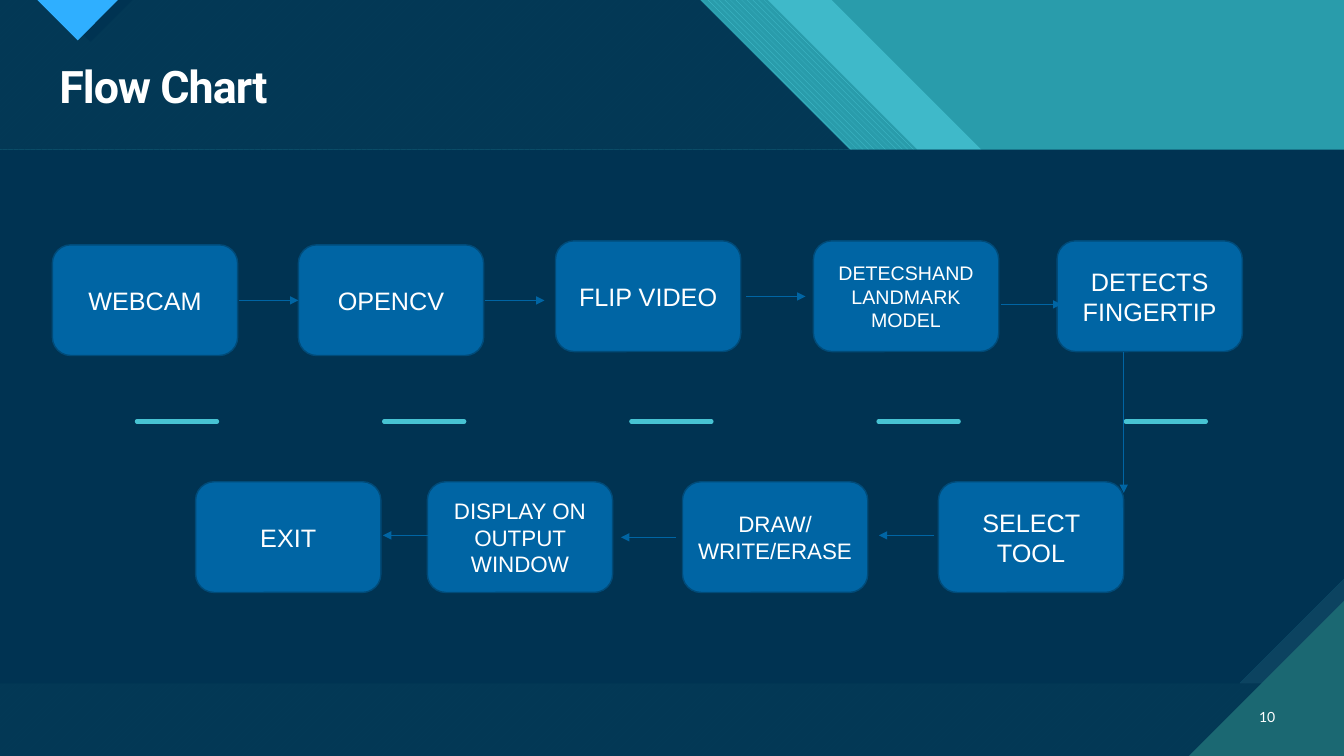
from lxml import etree
from pptx import Presentation
from pptx.dml.color import RGBColor
from pptx.enum.dml import MSO_PATTERN
from pptx.enum.shapes import MSO_CONNECTOR, MSO_SHAPE
from pptx.enum.text import MSO_ANCHOR, PP_ALIGN
from pptx.oxml.ns import qn
from pptx.util import Cm, Pt

STRAIGHT = MSO_CONNECTOR.STRAIGHT
ROUNDED = MSO_SHAPE.ROUNDED_RECTANGLE
MIDDLE = MSO_ANCHOR.MIDDLE
LEFT, CENTER, RIGHT = PP_ALIGN.LEFT, PP_ALIGN.CENTER, PP_ALIGN.RIGHT
UP_HATCH = MSO_PATTERN.WIDE_UPWARD_DIAGONAL
DOWN_HATCH = MSO_PATTERN.WIDE_DOWNWARD_DIAGONAL

WHITE = RGBColor(0xFF, 0xFF, 0xFF)
NAVY = RGBColor(0x00, 0x33, 0x52)
NAVY_HATCH = RGBColor(0x03, 0x38, 0x55)
NAVY_STRIPE = RGBColor(0x05, 0x3B, 0x59)
SLATE = RGBColor(0x0C, 0x43, 0x60)
TEAL = RGBColor(0x29, 0x9C, 0xAB)
BAND = RGBColor(0x3F, 0xB9, 0xC9)
AQUA = RGBColor(0x47, 0xC3, 0xD3)
DARK_TEAL = RGBColor(0x1B, 0x68, 0x72)
SKY = RGBColor(0x2F, 0xAF, 0xFF)
BLUE = RGBColor(0x00, 0x65, 0xA4)
EDGE = RGBColor(0x00, 0x4B, 0x79)

WIDTH, HEIGHT = 33.87, 19.05
HEADER, FOOTER = 3.77, 17.22
SNIP = 2.63
CORNER = 3.91
BOX_WIDTH, BOX_HEIGHT = 4.67, 2.79

STEPS = [
    ("WEBCAM", 1.32, 6.17, 18),
    ("OPENCV", 7.52, 6.17, 18),
    ("FLIP VIDEO", 14, 6.07, 18),
    ("DETECSHAND LANDMARK MODEL", 20.5, 6.07, 14),
    ("DETECTS FINGERTIP", 26.64, 6.07, 18),
    ("SELECT TOOL", 23.65, 12.14, 18),
    ("DRAW/WRITE/ERASE", 17.2, 12.14, 16),
    ("DISPLAY ON OUTPUT WINDOW", 10.77, 12.14, 16),
    ("EXIT", 4.93, 12.14, 18),
]
ARROWS = [
    (6.02, 7.57, 7.52, 7.57),
    (12.22, 7.57, 13.72, 7.57),
    (18.8, 7.47, 20.3, 7.47),
    (25.22, 7.67, 26.75, 7.67),
    (28.32, 8.86, 28.32, 12.42),
    (23.55, 13.49, 22.15, 13.49),
    (17.04, 13.54, 15.65, 13.54),
    (11.05, 13.49, 9.65, 13.49),
]


def add_polygon(slide, points, color, pattern=None, stripe=None):
    corners = [(Cm(x), Cm(y)) for x, y in points]
    builder = slide.shapes.build_freeform(*corners[0])
    builder.add_line_segments(corners[1:])
    shape = builder.convert_to_shape()
    shape.shadow.inherit = False
    shape.line.fill.background()
    if pattern is None:
        shape.fill.solid()
        shape.fill.fore_color.rgb = color
    else:
        shape.fill.patterned()
        shape.fill.pattern = pattern
        shape.fill.fore_color.rgb = stripe
        shape.fill.back_color.rgb = color


def add_line(slide, ends, color, width):
    connector = slide.shapes.add_connector(STRAIGHT, *map(Cm, ends))
    connector.line.color.rgb = color
    connector.line.width = Pt(width)
    etree.SubElement(connector._element.spPr, qn("a:effectLst"))
    return connector.line._get_or_add_ln()


def add_arrow(slide, ends):
    line = add_line(slide, ends, BLUE, 0.5)
    etree.SubElement(line, qn("a:tailEnd"), type="triangle")


def write_text(shape, text, font, size, alignment):
    frame = shape.text_frame
    frame.word_wrap = True
    frame.vertical_anchor = MIDDLE
    paragraph = frame.paragraphs[0]
    paragraph.text = text
    paragraph.alignment = alignment
    paragraph.font.name = font
    paragraph.font.size = Pt(size)
    paragraph.font.color.rgb = WHITE
    return paragraph


def add_step(slide, text, left, top, size):
    shape = slide.shapes.add_shape(
        ROUNDED, Cm(left), Cm(top), Cm(BOX_WIDTH), Cm(BOX_HEIGHT))
    shape.shadow.inherit = False
    shape.fill.solid()
    shape.fill.fore_color.rgb = BLUE
    shape.line.color.rgb = EDGE
    shape.line.width = Pt(1)
    write_text(shape, text, "Arial", size, CENTER)


def add_slant(slide, left, right, *fill):
    add_polygon(slide, [(left, 0), (right, 0), (right + HEADER, HEADER),
                        (left + HEADER, HEADER)], *fill)


def add_backdrop(slide):
    slide.background.fill.solid()
    slide.background.fill.fore_color.rgb = TEAL
    hatch = (NAVY_HATCH, UP_HATCH, NAVY_STRIPE)
    add_polygon(slide, [(0, 0), (17.65, 0), (17.65 + HEADER, HEADER), (0, HEADER)], *hatch)
    add_slant(slide, 17.65, 19.35, TEAL, DOWN_HATCH, AQUA)
    add_slant(slide, 19.35, 20.96, BAND)
    add_polygon(slide, [(0, FOOTER), (WIDTH, FOOTER), (WIDTH, HEIGHT), (0, HEIGHT)], *hatch)
    add_polygon(slide, [(WIDTH - SNIP, FOOTER), (WIDTH, FOOTER - SNIP), (WIDTH, FOOTER)], SLATE)
    add_polygon(slide, [(0, HEADER), (WIDTH, HEADER), (WIDTH, FOOTER - SNIP),
                        (WIDTH - SNIP, FOOTER), (0, FOOTER)], NAVY)
    add_polygon(slide, [(WIDTH - CORNER, HEIGHT), (WIDTH, HEIGHT - CORNER),
                        (WIDTH, HEIGHT)], DARK_TEAL)
    add_polygon(slide, [(1.22, 0), (3.33, 0), (2.28, 1.05)], NAVY)
    add_polygon(slide, [(0.94, 0), (2.97, 0), (1.96, 1.02)], SKY)
    for index in range(5):
        left = 3.45 + 6.23 * index
        add_line(slide, (left, 10.62, left + 2.02, 10.62), AQUA, 3).set("cap", "rnd")


def add_title(slide, text):
    title = slide.shapes.title
    title.left, title.top, title.width, title.height = map(Cm, (1.24, 1.5, 31.14, 1.5))
    paragraph = write_text(title, text, "Roboto", 32, LEFT)
    paragraph.font.bold = True
    paragraph.line_spacing = 0.9
    paragraph.runs[0].font._element.set("spc", "-70")
    slide.shapes._spTree.append(title._element)


def add_page_number(slide, number):
    box = slide.shapes.add_textbox(Cm(31.27), Cm(17.55), Cm(1.12), Cm(1.02))
    write_text(box, number, "Lato", 10, RIGHT)


def main():
    presentation = Presentation()
    presentation.slide_width = Cm(WIDTH)
    presentation.slide_height = Cm(HEIGHT)
    slide = presentation.slides.add_slide(presentation.slide_layouts[5])
    add_backdrop(slide)
    add_title(slide, "Flow Chart")
    add_page_number(slide, "10")
    for step in STEPS:
        add_step(slide, *step)
    for ends in ARROWS:
        add_arrow(slide, ends)
    presentation.save("out.pptx")


if __name__ == "__main__":
    main()
